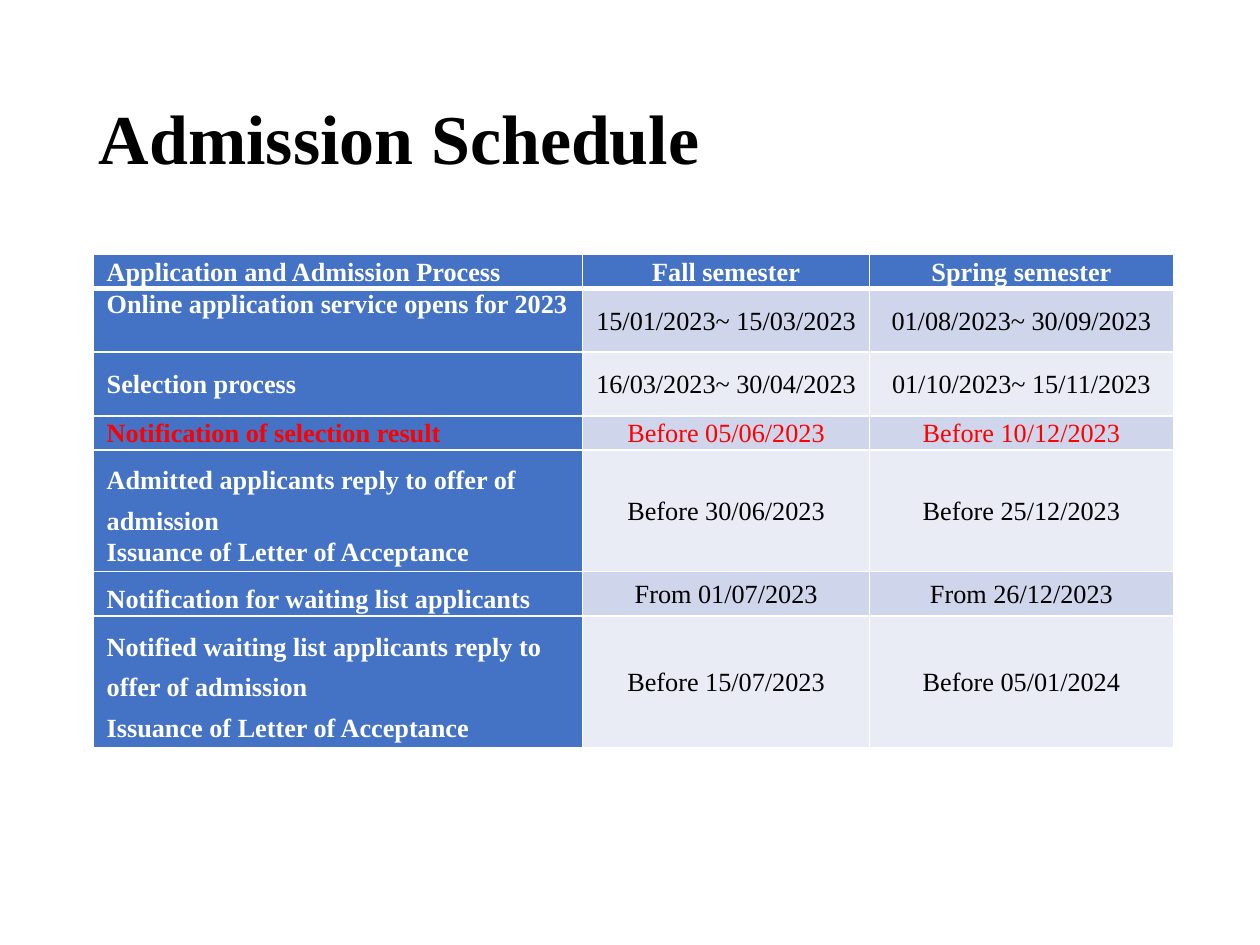
from lxml import etree
from pptx import Presentation
from pptx.dml.color import RGBColor
from pptx.enum import text
from pptx.oxml import ns
from pptx.util import Pt

HUES = {"blue": "4472C4", "odd": "CFD5EA", "even": "E9EBF5",
        "white": "FFFFFF", "black": "000000", "red": "FF0000"}
WIDE = 1.4
BASE = 1.07
ROWS = [
    (18, ["Application and Admission Process", "Fall semester", "Spring semester"], [BASE]),
    (36.5, ["Online application service opens for 2023",
            "15/01/2023~ 15/03/2023", "01/08/2023~ 30/09/2023"], [BASE]),
    (36.5, ["Selection process", "16/03/2023~ 30/04/2023", "01/10/2023~ 15/11/2023"], [BASE]),
    (18, ["Notification of selection result", "Before 05/06/2023", "Before 10/12/2023"], [BASE]),
    (67.5, ["Admitted applicants reply to offer of admission\nIssuance of Letter of Acceptance",
            "Before 30/06/2023", "Before 25/12/2023"], [WIDE, BASE]),
    (22.5, ["Notification for waiting list applicants",
            "From 01/07/2023", "From 26/12/2023"], [WIDE]),
    (72, ["Notified waiting list applicants reply to offer of admission\n"
          "Issuance of Letter of Acceptance",
          "Before 15/07/2023", "Before 05/01/2024"], [WIDE, WIDE]),
]
COLS = [279.5, 164, 173.5]


def style(para, size, hue, bold, gap):
    para.line_spacing = gap
    for run in para.runs:
        font = run.font
        font.name = "Times New Roman"
        font.size = Pt(size)
        font.bold = bold
        font.color.rgb = RGBColor.from_string(HUES[hue])


def edge(cell, side, width):
    props = cell._tc.get_or_add_tcPr()
    line = etree.SubElement(props, ns.qn("a:ln" + side), w=str(Pt(width)))
    fill = etree.SubElement(line, ns.qn("a:solidFill"))
    etree.SubElement(fill, ns.qn("a:srgbClr"), val=HUES["white"])


deck = Presentation()
deck.slide_width, deck.slide_height = Pt(720), Pt(540)
slide = deck.slides.add_slide(deck.slide_layouts[6])

title = slide.shapes.add_textbox(Pt(49.5), Pt(29), Pt(620.5), Pt(104.5)).text_frame
title.word_wrap = True
title.vertical_anchor = text.MSO_ANCHOR.MIDDLE
title.text = "Admission Schedule"
style(title.paragraphs[0], 40, "black", True, 0.9)

high = sum(row[0] for row in ROWS)
table = slide.shapes.add_table(len(ROWS), len(COLS), Pt(53.5), Pt(145.5),
                               Pt(sum(COLS)), Pt(high)).table
for col, width in zip(table.columns, COLS):
    col.width = Pt(width)

for r, (tall, words, gaps) in enumerate(ROWS):
    table.rows[r].height = Pt(tall)
    for c, word in enumerate(words):
        cell = table.cell(r, c)
        head = r == 0 or c == 0
        cell.margin_left = cell.margin_right = Pt(7.5)
        cell.margin_top = cell.margin_bottom = 0
        top = r == 1 and c == 0
        cell.vertical_anchor = text.MSO_ANCHOR.TOP if top else text.MSO_ANCHOR.MIDDLE
        for side in "LRTB":
            thick = (r, side) in [(0, "B"), (1, "T")]
            edge(cell, side, 3 if thick else 1)
        cell.fill.solid()
        back = "blue" if head else "odd" if r % 2 else "even"
        cell.fill.fore_color.rgb = RGBColor.from_string(HUES[back])
        cell.text_frame.text = word
        hue = "red" if r == 3 else "white" if head else "black"
        for p, para in enumerate(cell.text_frame.paragraphs):
            para.alignment = text.PP_ALIGN.CENTER if c else text.PP_ALIGN.LEFT
            style(para, 15, hue, head, BASE if c else gaps[p])

deck.save("out.pptx")
